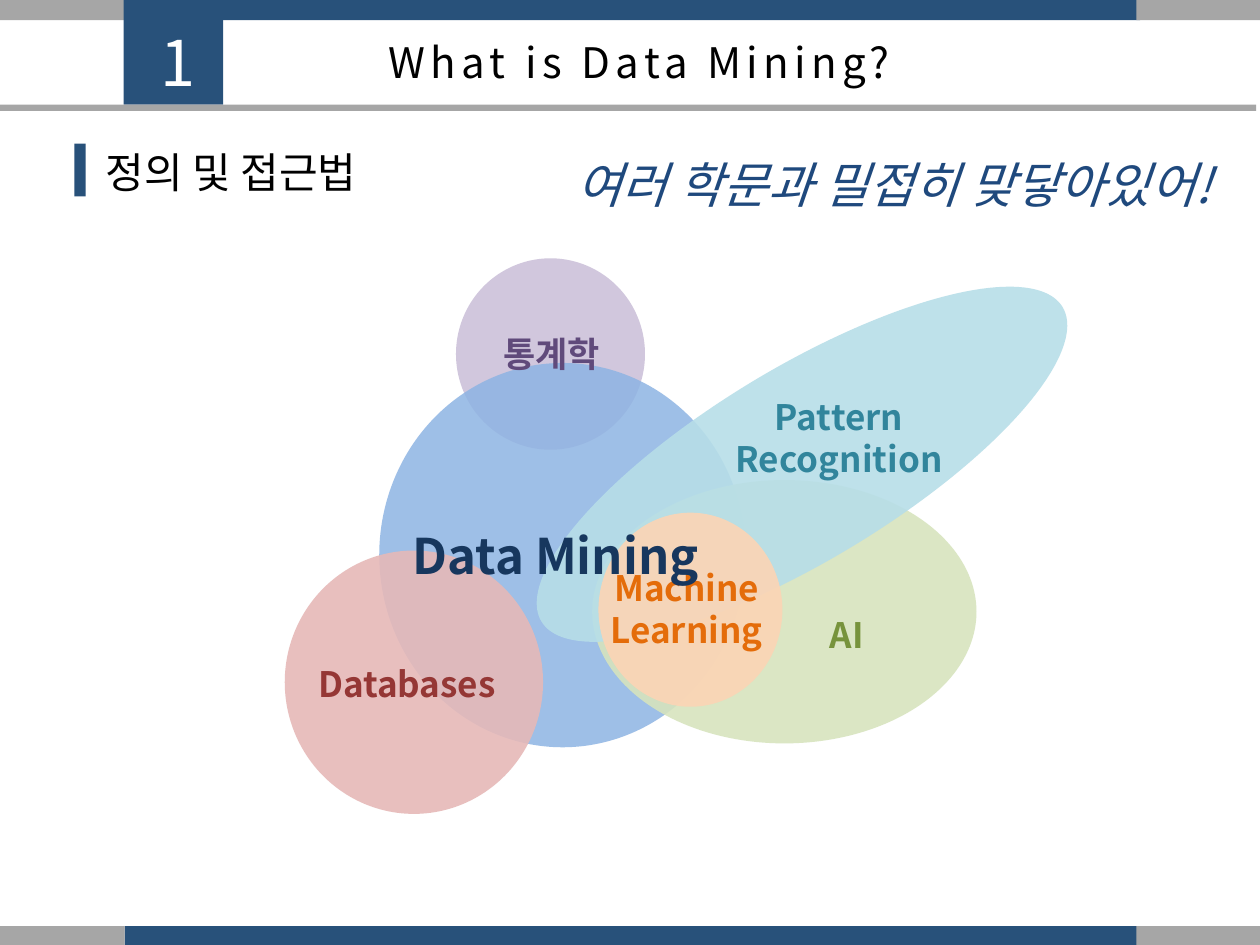
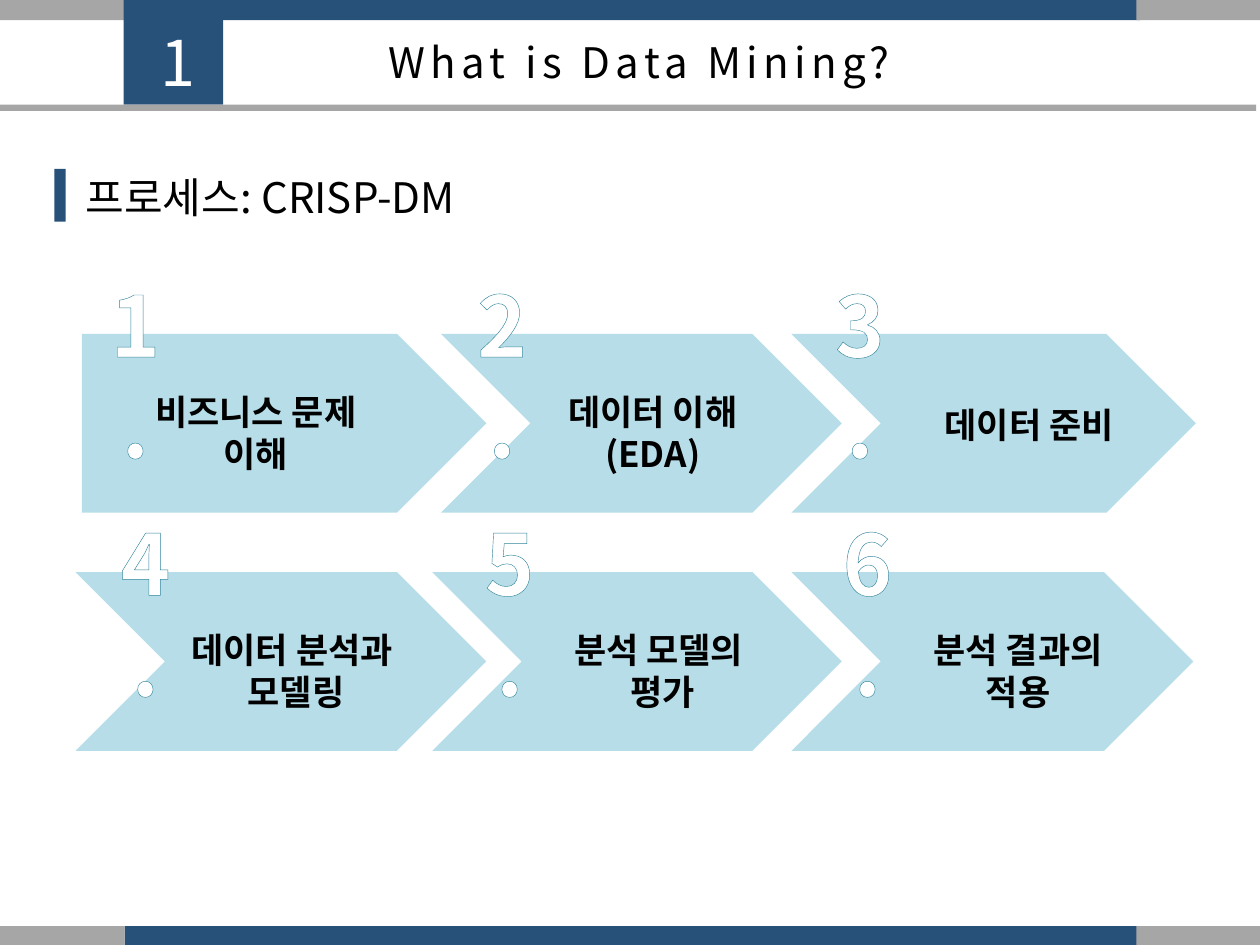
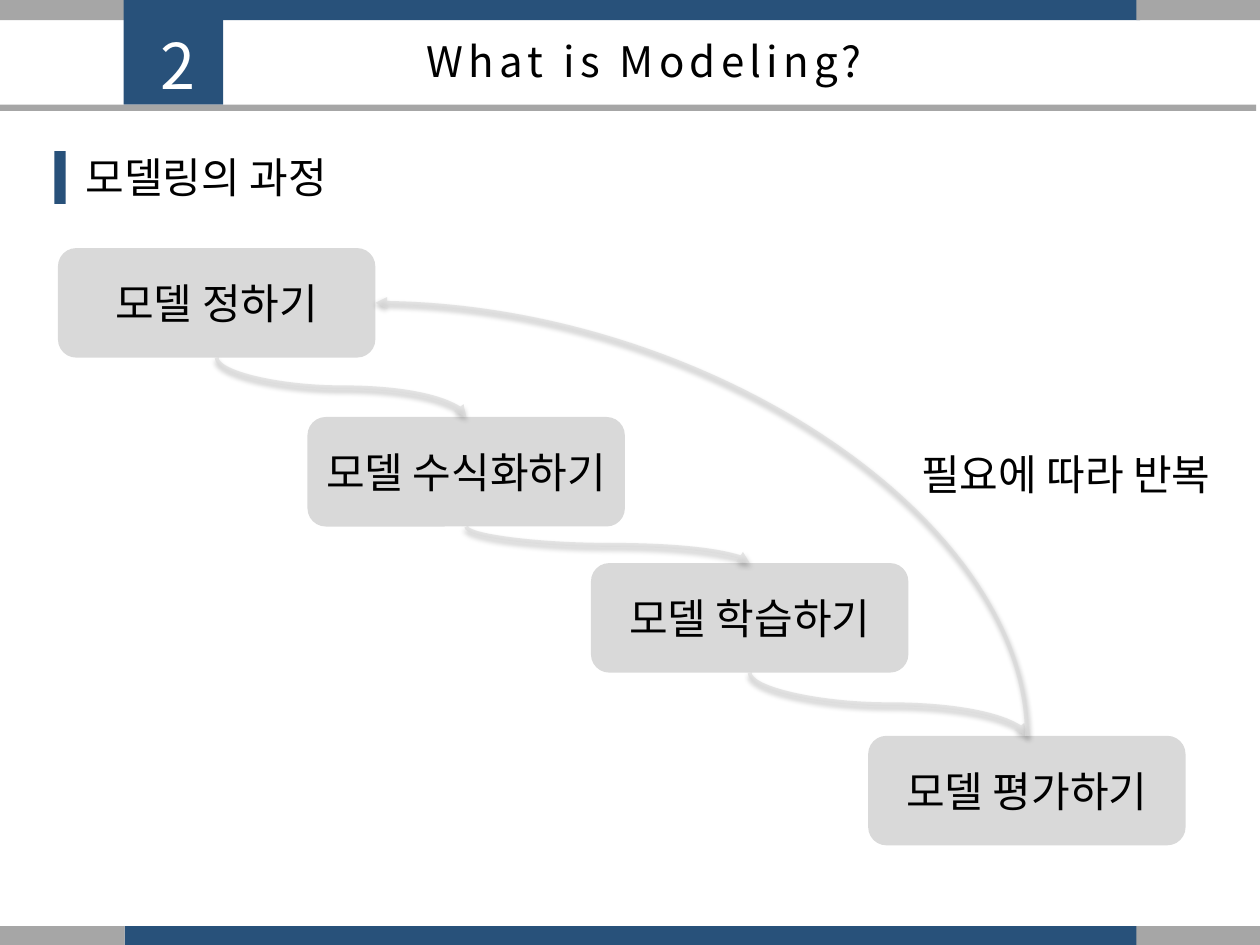
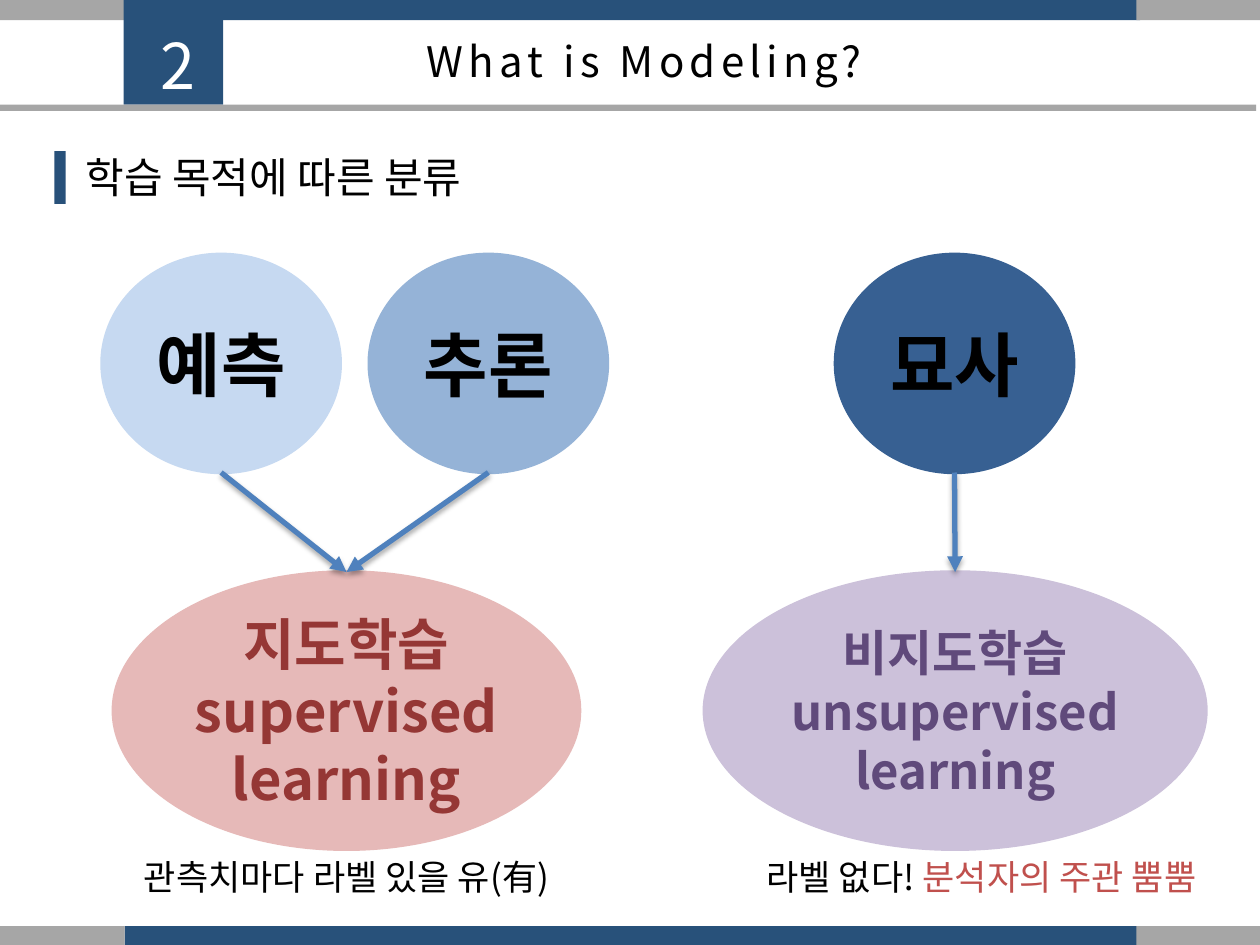
"""Build four slides on data mining and modeling."""
from lxml import etree
from pptx import Presentation
from pptx.dml.color import RGBColor
from pptx.enum.shapes import MSO_CONNECTOR, MSO_SHAPE
from pptx.enum.text import MSO_ANCHOR, MSO_AUTO_SIZE, PP_ALIGN
from pptx.oxml import parse_xml
from pptx.oxml.ns import nsdecls, qn
from pptx.util import Pt

THEME = {
    "font": "Noto Sans CJK KR",
    "navy": "28517A", "gray": "A6A6A6", "black": "000000", "white": "FFFFFF",
    "sky": "B7DEE8", "teal": "31859C", "box": "D9D9D9", "arrow": "4F81BD",
    "accent": "C0504D", "slogan": "1F497D", "purple": "604A7B", "red": "953735",
    "lilac": "CCC1DA", "rose": "E6B9B8",
    "number": 36, "title": 24, "body": 24, "label": 20, "large": 28,
    "numeral": 48, "circle": 40, "outcome": 32,
}

BANDS = [(71.3, 580.3, "navy"), (0, 71.3, "gray"), (649.4, 70.6, "gray")]
BAND_TOPS, BAND_HEIGHT = (0, 529.2), 11.5

MINING = {"number": "1", "number_top": 10.1, "title": "What is Data Mining?",
          "title_at": (167, 17.3, 396.7, 36)}
MODELING = {"number": "2", "number_top": 11.5, "title": "What is Modeling?",
            "title_at": (218.2, 16.6, 300.2, 36)}

SLOGAN = "여러 학문과 밀접히 맞닿아있어!"
FIELDS = [
    ("area", (260.6, 147.6, 108, 109.4), "CCC1DA", 90, 0),
    ("area", (216.7, 207.4, 209.5, 219.6), "8EB4E3", 85, 0),
    ("area", (162.7, 314.6, 147.6, 150.5), "E6B9B8", 90, 0),
    ("area", (338.4, 274.3, 219.6, 150.5), "D7E4BD", 89, 0),
    ("name", (206.6, 186.5, 217.4, 31.7), "604A7B", "통계학", "label"),
    ("area", (284.4, 210.2, 347.8, 110.2), "B7DEE8", 90, 328.9),
    ("name", (370.8, 222.5, 217.4, 55.4), "31859C", "Pattern\nRecognition", "label"),
    ("name", (375.1, 347, 217.4, 31.7), "77933C", "AI", "label"),
    ("area", (342, 293, 105.1, 110.9), "FCD5B5", 90, 0),
    ("name", (123.8, 375.1, 217.4, 31.7), "953735", "Databases", "label"),
    ("name", (338.4, 320.4, 108, 55.4), "E46C0A", "Machine\nLearning", "label"),
    ("name", (208.8, 296.6, 217.4, 41), "17375E", "Data Mining", "large"),
]

STEP_ROWS = [
    (190.8, [
        ("비즈니스 문제 이해", 46.8, 231.1, 63.4, 28.8, 49.7),
        ("데이터 이해\v(EDA)", 252, 229, 290.2, 28.8, 259.2),
        ("데이터 준비", 452.2, 231.1, 505.4, 36, 463.7)]),
    (326.9, [
        ("데이터 분석과 \v모델링", 43.2, 234.7, 86.4, 28.8, 55.4),
        ("분석 모델의 \v평가", 247, 234, 295.9, 28.8, 263.5),
        ("분석 결과의\n적용", 452.2, 229.7, 499, 28.8, 468)]),
]
STEP_HEIGHT, NUMERAL_RISE = 102.2, 38.2

STAGES = [("모델 정하기", 33.1, 141.8), ("모델 수식화하기", 175.7, 238.3),
          ("모델 학습하기", 337.7, 321.8), ("모델 평가하기", 496.1, 420.5)]
STAGE_WIDTH, STAGE_HEIGHT = 181.4, 62.6
REPEAT = "필요에 따라 반복"

PURPOSES = [("예측", 58.3, "C6D9F1", 0), ("추론", 211, "95B3D7", 0),
            ("묘사", 477.4, "376092", 1)]
PURPOSE_TOP, PURPOSE_WIDTH, PURPOSE_HEIGHT = 145.4, 136.1, 124.6
OUTCOMES = [
    ("지도학습\nsupervised learning", 64.8, 266.4, "rose", "red", "outcome",
     25.2, "관측치마다 라벨 있을 유(有)", None),
    ("비지도학습\nunsupervised learning", 402.5, 286.6, "lilac", "purple", "large",
     388.1, "라벨 없다! ", "분석자의 주관 뿜뿜"),
]
OUTCOME_TOP, OUTCOME_HEIGHT = 326.9, 158.4


def rgb(color):
    return RGBColor.from_string(THEME.get(color, color))


def points(lengths):
    return [Pt(length) for length in lengths]


def apply(target, values):
    for attribute, value in values.items():
        setattr(target, attribute, value)


def add_alpha(fill_parent, percent):
    color = next(fill_parent.iter(qn("a:srgbClr")))
    etree.SubElement(color, qn("a:alpha")).set("val", str(percent * 1000))


def style_run(run, size, color, spacing=0, outline=None, **flags):
    apply(run.font, {"name": THEME["font"], "size": Pt(THEME[size]), **flags})
    run.font.color.rgb = rgb(color)
    properties = run.font._element if hasattr(run.font, "_element") else run._r.get_or_add_rPr()
    etree.SubElement(properties, qn("a:ea")).set("typeface", THEME["font"])
    if spacing:
        properties.set("spc", str(spacing * 100))
    if outline:
        properties.insert(0, parse_xml(
            f'<a:ln {nsdecls("a")} w="6600"><a:solidFill>'
            f'<a:srgbClr val="{THEME[outline]}"/></a:solidFill></a:ln>'))


def write(shape, text, size, color="black", align=PP_ALIGN.CENTER, **style):
    shape.text_frame.text = text
    shape.text_frame.word_wrap = True
    for paragraph in shape.text_frame.paragraphs:
        paragraph.alignment = align
        for run in paragraph.runs:
            style_run(run, size, color, **style)


def add_text(slide, at, text, size, color="black", **style):
    box = slide.shapes.add_textbox(*points(at))
    write(box, text, size, color, **style)
    apply(box.text_frame, {"auto_size": MSO_AUTO_SIZE.SHAPE_TO_FIT_TEXT,
                           "vertical_anchor": MSO_ANCHOR.TOP})
    return box


def add_block(slide, kind, at, fill, alpha=None, edge=None):
    block = slide.shapes.add_shape(kind, *points(at))
    block.shadow.inherit = False
    block.fill.solid()
    block.fill.fore_color.rgb = rgb(fill)
    if alpha:
        add_alpha(block.element.spPr, alpha)
    if edge:
        block.line.color.rgb = rgb(fill)
        block.line.width = Pt(edge)
    else:
        block.line.fill.background()
    block.text_frame.vertical_anchor = MSO_ANCHOR.MIDDLE
    return block


def add_arrow(slide, kind, ends, color, width, alpha=None):
    arrow = slide.shapes.add_connector(kind, *points(ends))
    arrow.line.color.rgb = rgb(color)
    arrow.line.width = Pt(width)
    properties = arrow.element.spPr
    if alpha:
        add_alpha(properties, alpha)
    etree.SubElement(properties.find(qn("a:ln")), qn("a:tailEnd")).set("type", "triangle")
    properties.append(parse_xml(
        f'<a:effectLst {nsdecls("a")}><a:outerShdw blurRad="{Pt(3.1)}" dist="{Pt(1.8)}" '
        'dir="5400000" rotWithShape="0"><a:srgbClr val="000000"><a:alpha val="35000"/>'
        '</a:srgbClr></a:outerShdw></a:effectLst>'))
    return arrow


def add_upright_curve(slide, start, end, preset="curvedConnector3"):
    (x1, y1), (x2, y2) = start, end
    middle_x, middle_y = (x1 + x2) / 2, (y1 + y2) / 2
    half_x, half_y = (x2 - x1) / 2, (y2 - y1) / 2
    turned = (middle_x + half_y, middle_y - half_x, middle_x - half_y, middle_y + half_x)
    curve = add_arrow(slide, MSO_CONNECTOR.CURVE, turned, "box", 2.25, 65)
    curve.element.spPr.find(qn("a:xfrm")).set("rot", "16200000")
    curve.element.spPr.find(qn("a:prstGeom")).set("prst", preset)


def move_bands_to_layout(slide):
    layout = slide.slide_layout
    for placeholder in list(layout.placeholders):
        layout.shapes.element.remove(placeholder.element)
    for top in BAND_TOPS:
        for left, width, color in BANDS:
            band = add_block(slide, MSO_SHAPE.RECTANGLE, (left, top, width, BAND_HEIGHT), color)
            layout.shapes.element.append(band.element)


def start_slide(deck, chapter, heading, bar_left, bar_top, text_rise):
    slide = deck.slides.add_slide(deck.slide_layouts[6])
    if len(deck.slides) == 1:
        move_bands_to_layout(slide)
    for at, color in [((70.6, 0, 56.9, 59.8), "navy"), ((-3.6, 59.8, 721.4, 3.6), "gray"),
                      ((bar_left, bar_top, 6.5, 30.2), "navy")]:
        add_block(slide, MSO_SHAPE.RECTANGLE, at, color)
    add_text(slide, (70.6, chapter["number_top"], 62.6, 51.1), chapter["number"],
             "number", "white", spacing=3)
    add_text(slide, chapter["title_at"], chapter["title"], "title", spacing=3)
    add_text(slide, (bar_left + 10.8, bar_top - text_rise, 273, 36), heading, "body",
             align=PP_ALIGN.LEFT)
    return slide


def build_fields(deck):
    slide = start_slide(deck, MINING, "정의 및 접근법", 42.5, 82.1, 2.2)
    for part, at, color, *details in FIELDS:
        if part == "area":
            alpha, rotation = details
            add_block(slide, MSO_SHAPE.OVAL, at, color, alpha).rotation = rotation
        else:
            name, size = details
            add_text(slide, at, name, size, color, bold=True)
    add_text(slide, (322.6, 85, 383.8, 41), SLOGAN, "large", "slogan",
             align=PP_ALIGN.LEFT, italic=True)


def build_process(deck):
    slide = start_slide(deck, MINING, "프로세스: CRISP-DM", 31, 96.5, 2.2)
    number = 0
    for top, steps in STEP_ROWS:
        for _, left, width, *_ in steps:
            first = slide.shapes and top == STEP_ROWS[0][0] and left == steps[0][1]
            kind = MSO_SHAPE.PENTAGON if first else MSO_SHAPE.CHEVRON
            add_block(slide, kind, (left, top, width, STEP_HEIGHT), "sky")
        for step, _, _, label_left, drop, numeral_left in steps:
            number += 1
            add_text(slide, (label_left, top + drop, 165.6, 55.4), step, "label", bold=True)
            add_text(slide, (numeral_left, top - NUMERAL_RISE, 55.4, 65.5), f"{number}.",
                     "numeral", "white", outline="teal", bold=True)


def build_modeling(deck):
    slide = start_slide(deck, MODELING, "모델링의 과정", 31, 86.4, 3.6)
    add_text(slide, (478.8, 252.7, 260.6, 36), REPEAT, "body")
    for stage, left, top in STAGES:
        box = add_block(slide, MSO_SHAPE.ROUNDED_RECTANGLE,
                        (left, top, STAGE_WIDTH, STAGE_HEIGHT), "box")
        write(box, stage, "body")
    tops = [(left + STAGE_WIDTH / 2, top) for _, left, top in STAGES]
    for (x, y), following in zip(tops, tops[1:]):
        add_upright_curve(slide, (x, y + STAGE_HEIGHT), following)
    _, left, top = STAGES[0]
    add_upright_curve(slide, tops[-1], (left + STAGE_WIDTH, top + STAGE_HEIGHT / 2),
                      "curvedConnector2")


def build_purposes(deck):
    slide = start_slide(deck, MODELING, "학습 목적에 따른 분류", 31, 86.4, 3.6)
    for outcome, left, width, fill, color, size, note_left, note, remark in OUTCOMES:
        oval = add_block(slide, MSO_SHAPE.OVAL,
                         (left, OUTCOME_TOP, width, OUTCOME_HEIGHT), fill, edge=2)
        write(oval, outcome, size, color, bold=True)
        caption = add_text(slide, (note_left, OUTCOME_TOP + OUTCOME_HEIGHT, 345.6, 31.7),
                           note, "label")
        if remark:
            run = caption.text_frame.paragraphs[0].add_run()
            run.text = remark
            style_run(run, "label", "accent")
    for purpose, left, fill, target in PURPOSES:
        circle = add_block(slide, MSO_SHAPE.OVAL,
                           (left, PURPOSE_TOP, PURPOSE_WIDTH, PURPOSE_HEIGHT), fill, edge=2)
        write(circle, purpose, "circle", bold=True)
        _, outcome_left, outcome_width, *_ = OUTCOMES[target]
        ends = (left + PURPOSE_WIDTH / 2, PURPOSE_TOP + PURPOSE_HEIGHT,
                outcome_left + outcome_width / 2, OUTCOME_TOP)
        add_arrow(slide, MSO_CONNECTOR.STRAIGHT, ends, "arrow", 3)


def main():
    deck = Presentation()
    apply(deck, {"slide_width": Pt(720), "slide_height": Pt(540)})
    for build in (build_fields, build_process, build_modeling, build_purposes):
        build(deck)
    deck.save("out.pptx")


if __name__ == "__main__":
    main()
